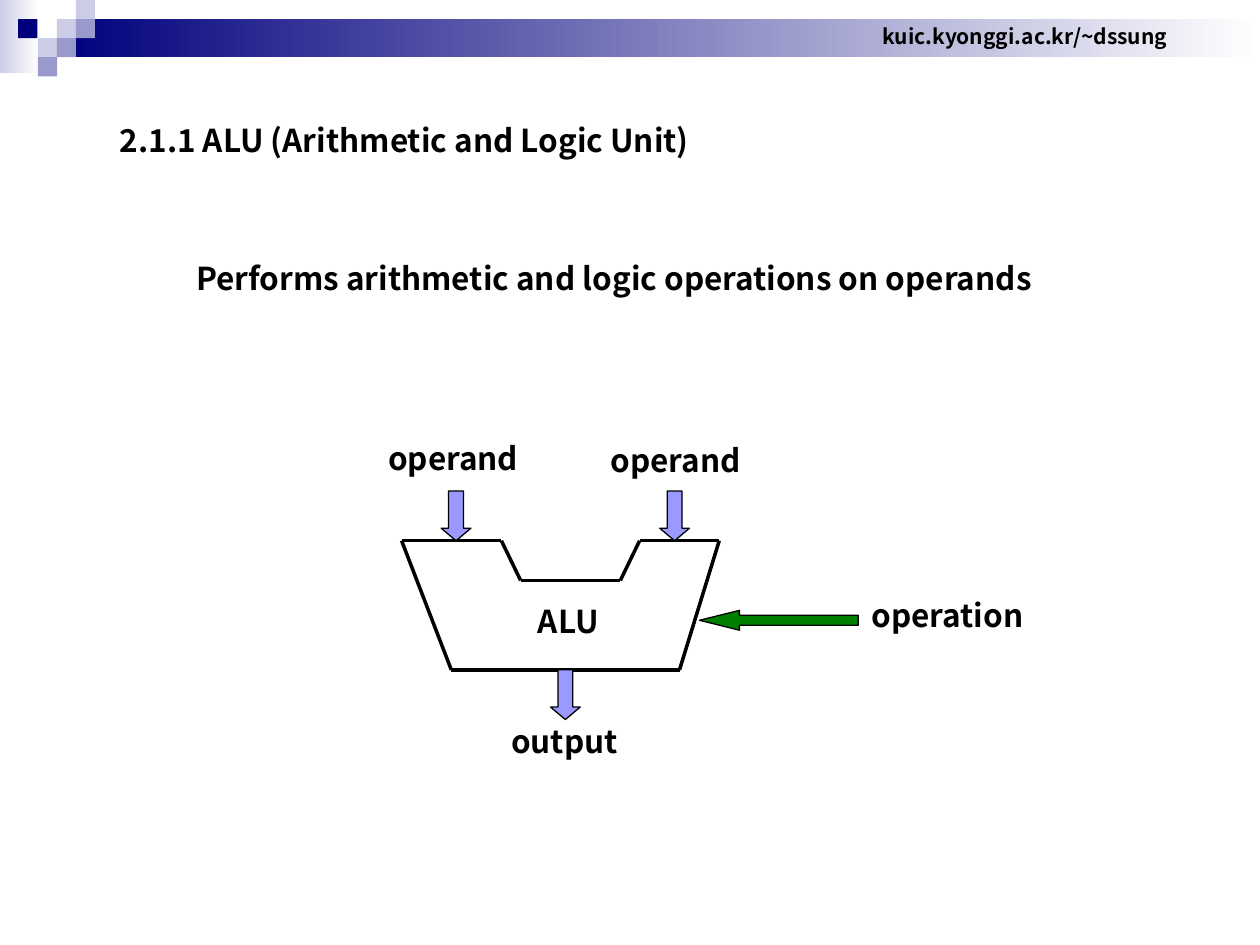
"""Build a slide showing the operands, operation and output of an ALU."""
import itertools

import lxml.etree
import pptx
import pptx.dml.color
import pptx.enum.shapes
import pptx.enum.text
import pptx.oxml.ns
import pptx.util

BLACK = pptx.dml.color.RGBColor(0x00, 0x00, 0x00)
WHITE = pptx.dml.color.RGBColor(0xFF, 0xFF, 0xFF)
NAVY = pptx.dml.color.RGBColor(0x00, 0x00, 0x7D)
LAVENDER = pptx.dml.color.RGBColor(0xCC, 0xCC, 0xE6)
PURPLE = pptx.dml.color.RGBColor(0x99, 0x99, 0xCC)
PERIWINKLE = pptx.dml.color.RGBColor(0x99, 0x99, 0xFF)
GREEN = pptx.dml.color.RGBColor(0x00, 0x80, 0x00)

SHAPES = pptx.enum.shapes.MSO_SHAPE
SQUARE = 10.9
COLUMNS = (10.4, 21.7, 32.5, 43.3)
ROWS = (0, 10.9, 21.8, 32.7)
BLOCKS = (
    (2, 1, LAVENDER), (3, 0, LAVENDER), (3, 1, PURPLE), (1, 2, LAVENDER),
    (0, 1, NAVY), (2, 2, PURPLE), (1, 3, PURPLE),
)
ALU_OUTLINE = (
    (229.5, 309), (286.5, 309), (297.5, 331.7), (354.5, 331.7), (365.5, 309),
    (411, 309), (388.3, 382.8), (257.9, 382.8), (229.5, 309),
)
LABELS = (
    ("Performs arithmetic and logic operations on operands", 105, 144.7, 502),
    ("ALU", 300.3, 340.5, 55.5),
    ("operand", 214.7, 247.1, 90),
    ("operand", 341.8, 248.3, 90),
    ("operation", 491, 336.9, 103),
    ("output", 285, 409.2, 76.5),
)


class Diagram:
    """Hold the text style and the slide being drawn."""

    font_format = {"name": "Noto Sans CJK KR", "bold": True}
    frame_format = {
        "word_wrap": False,
        "auto_size": pptx.enum.text.MSO_AUTO_SIZE.SHAPE_TO_FIT_TEXT,
        "vertical_anchor": pptx.enum.text.MSO_ANCHOR.TOP,
    }

    def __init__(self, slide):
        self.slide = slide

    def apply(self, target, values):
        """Set every attribute in a dict of format values."""
        for name, value in values.items():
            setattr(target, name, value)

    def fill_text(self, shape, text, size):
        """Put one styled line of text in a shape."""
        self.apply(shape.text_frame, self.frame_format)
        paragraph = shape.text_frame.paragraphs[0]
        paragraph.text = text
        paragraph.alignment = pptx.enum.text.PP_ALIGN.LEFT
        self.apply(paragraph.font, self.font_format)
        paragraph.font.size = pptx.util.Pt(size)
        paragraph.font.color.rgb = BLACK

    def title(self, text, *box):
        """Move and fill the title placeholder."""
        shape = self.slide.shapes.title
        lengths = map(pptx.util.Pt, box)
        self.apply(shape, dict(zip(("left", "top", "width", "height"), lengths)))
        self.fill_text(shape, text, 18)

    def label(self, text, left, top, width, height=29, size=18):
        """Add a text box."""
        box = map(pptx.util.Pt, (left, top, width, height))
        self.fill_text(self.slide.shapes.add_textbox(*box), text, size)

    def shape(self, kind, *box):
        """Add a preset shape without shadow or line."""
        shape = self.slide.shapes.add_shape(kind, *map(pptx.util.Pt, box))
        shape.shadow.inherit = False
        shape.line.fill.background()
        return shape

    def block(self, color, *box):
        """Add a plain rectangle."""
        shape = self.shape(SHAPES.RECTANGLE, *box)
        shape.fill.solid()
        shape.fill.fore_color.rgb = color

    def gradient(self, color, *box):
        """Add a rectangle that fades to white on the right."""
        shape = self.shape(SHAPES.RECTANGLE, *box)
        shape.fill.gradient()
        shape.fill.gradient_angle = 180
        for stop, stop_color in zip(shape.fill.gradient_stops, (WHITE, color)):
            stop.color.rgb = stop_color

    def arrow(self, kind, color, head, *box):
        """Add an outlined block arrow."""
        shape = self.shape(kind, *box)
        shape.adjustments[0] = 0.5
        shape.adjustments[1] = head
        shape.fill.solid()
        shape.fill.fore_color.rgb = color
        shape.line.color.rgb = BLACK
        shape.line.width = pptx.util.Pt(0.75)

    def line(self, start, end):
        """Add a straight black line."""
        points = map(pptx.util.Pt, (*start, *end))
        straight = pptx.enum.shapes.MSO_CONNECTOR.STRAIGHT
        connector = self.slide.shapes.add_connector(straight, *points)
        connector.line.color.rgb = BLACK
        connector.line.width = pptx.util.Pt(2)
        properties = connector._element.spPr
        lxml.etree.SubElement(properties, pptx.oxml.ns.qn("a:effectLst"))


def main():
    """Draw the slide and save it."""
    presentation = pptx.Presentation()
    presentation.slide_width = pptx.util.Pt(720)
    presentation.slide_height = pptx.util.Pt(540)
    slide = presentation.slides.add_slide(presentation.slide_layouts[5])
    diagram = Diagram(slide)

    diagram.gradient(LAVENDER, 0, 0, 22.3, 41.8)
    diagram.gradient(NAVY, 32.5, 10.9, 687.5, 21.4)
    for column, row, color in BLOCKS:
        diagram.block(color, COLUMNS[column], ROWS[row], SQUARE, SQUARE)
    diagram.label("kuic.kyonggi.ac.kr/~dssung", 497.2, 10, 178, 21.6, 12)
    diagram.title("2.1.1 ALU (Arithmetic and Logic Unit)", 61.2, 65.5, 344, 29)

    for start, end in itertools.pairwise(ALU_OUTLINE):
        diagram.line(start, end)
    for left, top in ((252.1, 280.6), (377, 280.6), (314.6, 382.8)):
        diagram.arrow(SHAPES.DOWN_ARROW, PERIWINKLE, 0.42, left, top, 17, 28.4)
    diagram.arrow(SHAPES.LEFT_ARROW, GREEN, 2.02, 399.7, 348.8, 90.7, 11.3)
    for text, left, top, width in LABELS:
        diagram.label(text, left, top, width)

    presentation.save("out.pptx")


if __name__ == "__main__":
    main()
